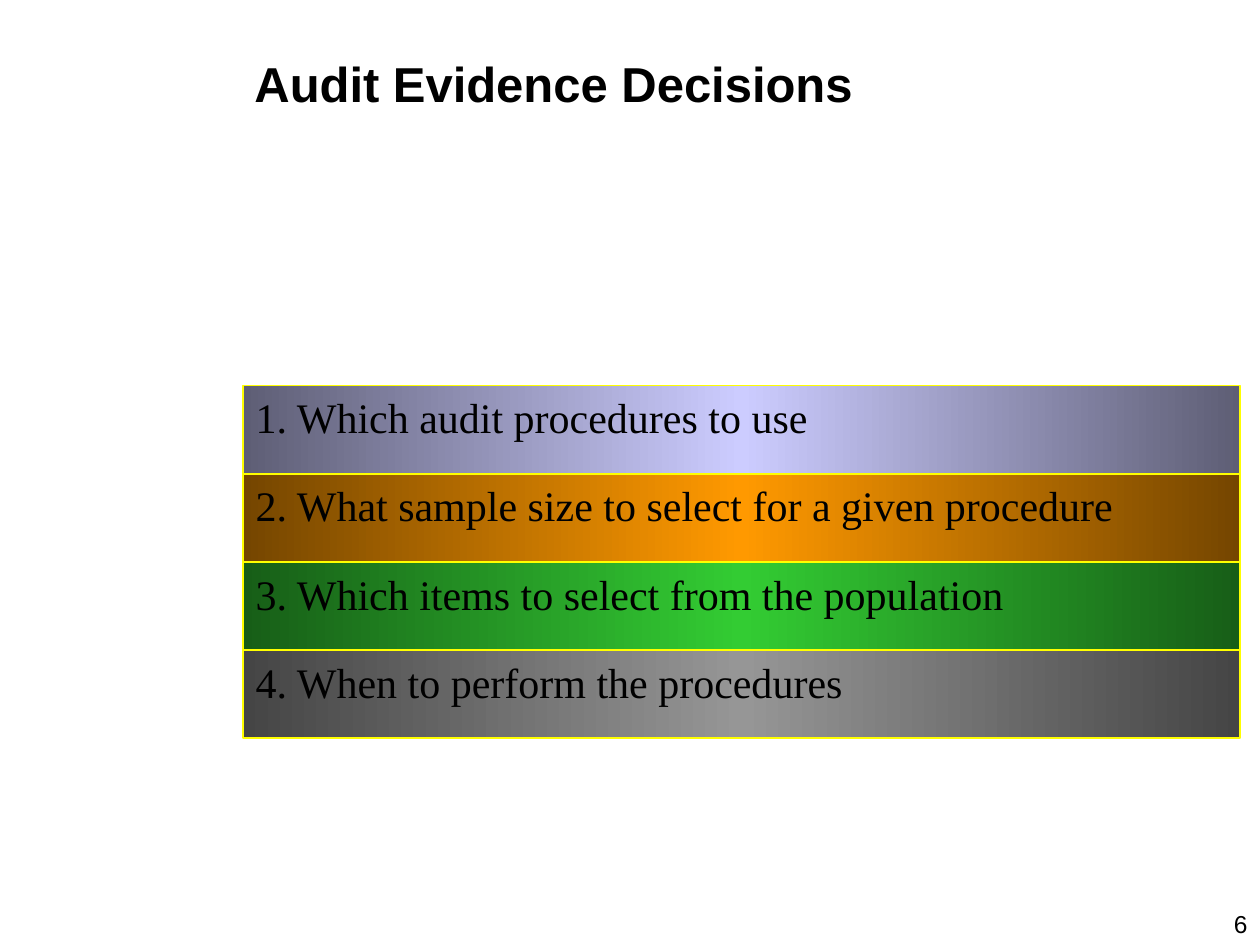
from copy import deepcopy
from pptx import Presentation
from pptx.dml.color import RGBColor as Rgb
from pptx.enum.shapes import MSO_SHAPE as Shape
from pptx.enum.text import MSO_ANCHOR as Anchor, MSO_AUTO_SIZE as Auto, PP_ALIGN as Align
from pptx.oxml.ns import qn
from pptx.util import Pt

LEFT, TOP, WIDTH, HEIGHT = 139, 220.3, 569.5, 50.4
STEPS = [
    ("1. Which audit procedures to use", "5E5E75", "CCCCFF"),
    ("2. What sample size to select for a given procedure", "754600", "FF9900"),
    ("3. Which items to select from the population", "175E17", "33CC33"),
    ("4. When to perform the procedures", "454545", "969696"),
]


def color(code):
    return Rgb.from_string(code)


def write(shape, text, font="Arial", size=14, bold=False, align=Align.LEFT, anchor=Anchor.TOP):
    frame = shape.text_frame
    frame.word_wrap = True
    frame.auto_size = Auto.NONE
    frame.vertical_anchor = anchor
    para = frame.paragraphs[0]
    para.alignment = align
    run = para.add_run()
    run.text = text
    run.font.name = font
    run.font.size = Pt(size)
    run.font.bold = bold
    run.font.color.rgb = color("000000")


def shade(shape, edge, mid):
    fill = shape.fill
    fill.gradient()
    fill.gradient_angle = 0
    stops = shape.element.spPr.find(".//" + qn("a:gsLst"))
    stops.insert(1, deepcopy(stops[0]))
    for stop, place, code in zip(fill.gradient_stops, (0, 0.5, 1), (edge, mid, edge)):
        stop.position = place
        stop.color.rgb = color(code)


def add_title(slide, text):
    title = slide.shapes.title
    title.left, title.top, title.width, title.height = Pt(138.2), Pt(2.2), Pt(570.2), Pt(90)
    write(title, text, size=28, bold=True, anchor=Anchor.MIDDLE)


def add_bar(slide, top, text, edge, mid):
    bar = slide.shapes.add_shape(Shape.RECTANGLE, Pt(LEFT), Pt(top), Pt(WIDTH), Pt(HEIGHT))
    bar.shadow.inherit = False
    shade(bar, edge, mid)
    bar.line.color.rgb = color("FFFF00")
    bar.line.width = Pt(1)
    write(bar, text, font="Times New Roman", size=24)


def add_number(slide, text):
    box = slide.shapes.add_textbox(Pt(570.2), Pt(516.2), Pt(149.8), Pt(23.8))
    write(box, text, align=Align.RIGHT)


def main():
    deck = Presentation()
    deck.slide_width, deck.slide_height = Pt(720), Pt(540)
    slide = deck.slides.add_slide(deck.slide_layouts[5])
    add_title(slide, "Audit Evidence Decisions")
    for row, step in enumerate(STEPS):
        add_bar(slide, TOP + row * HEIGHT, *step)
    add_number(slide, "6")
    deck.save("out.pptx")


if __name__ == "__main__":
    main()
